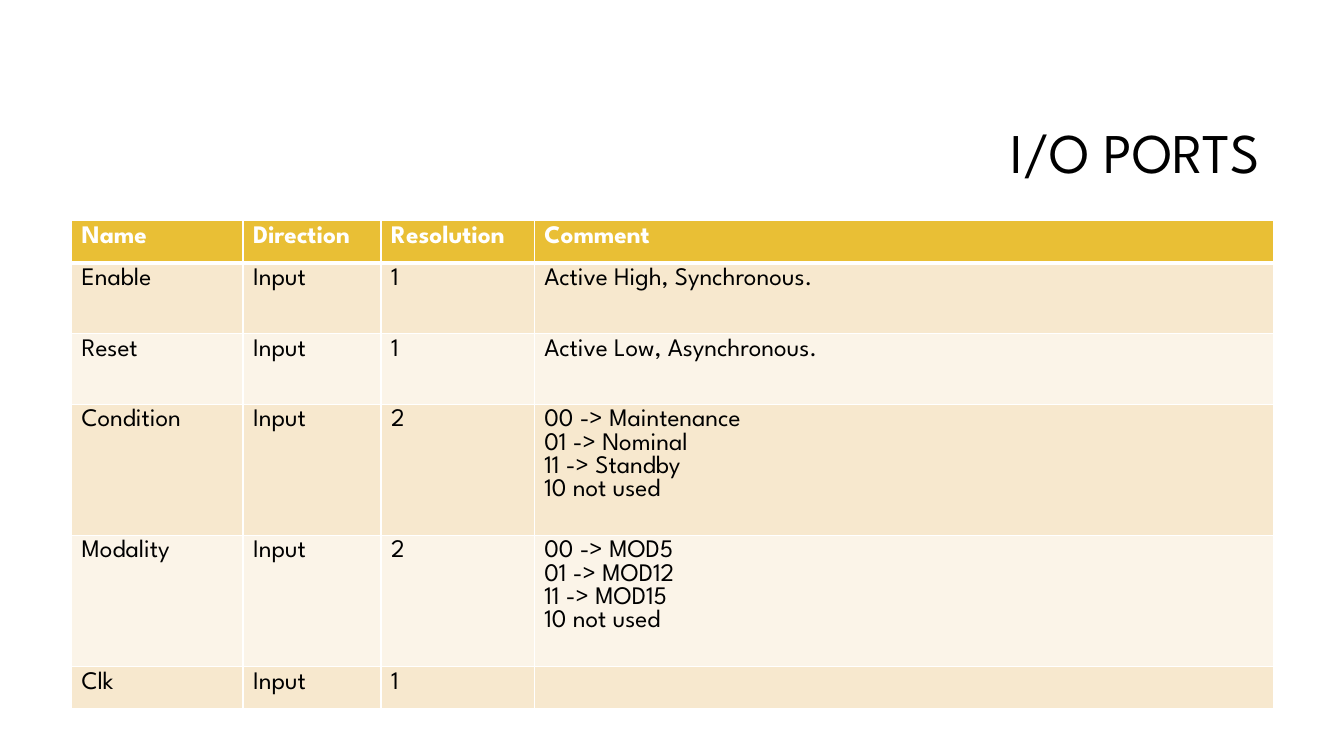
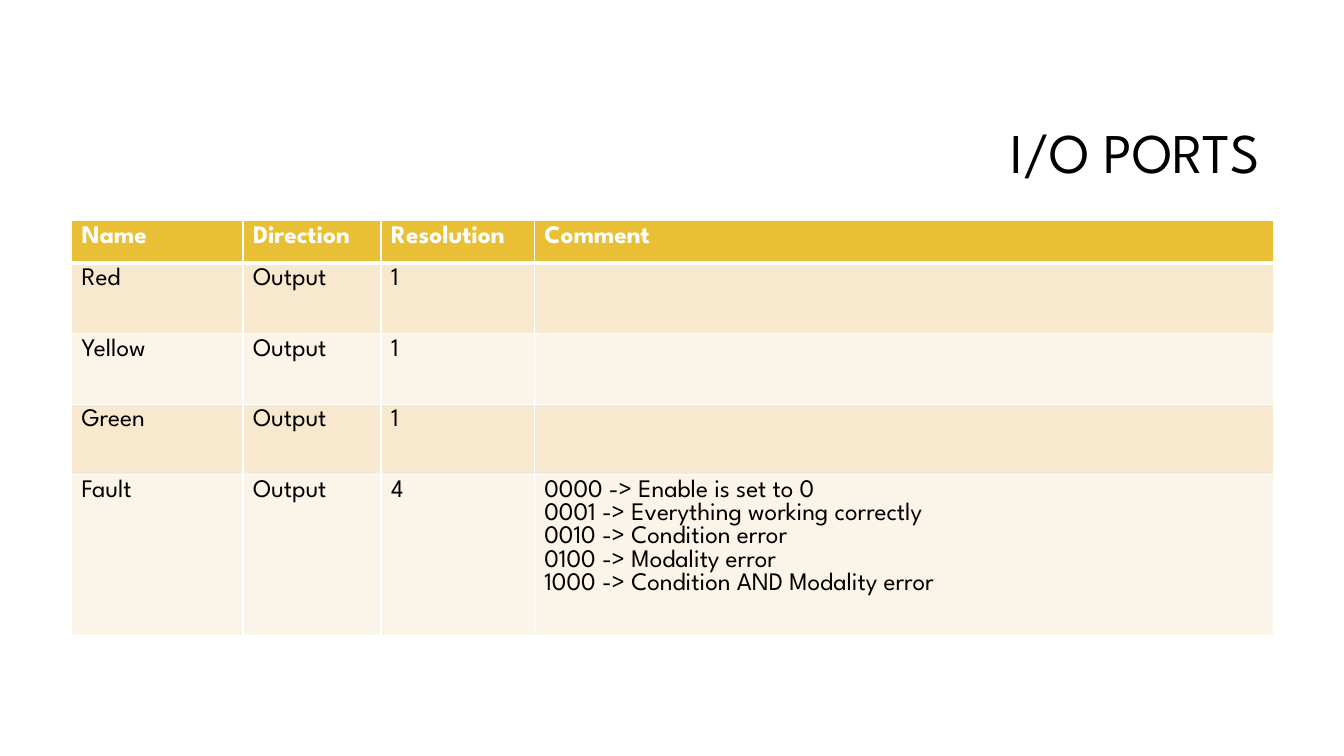
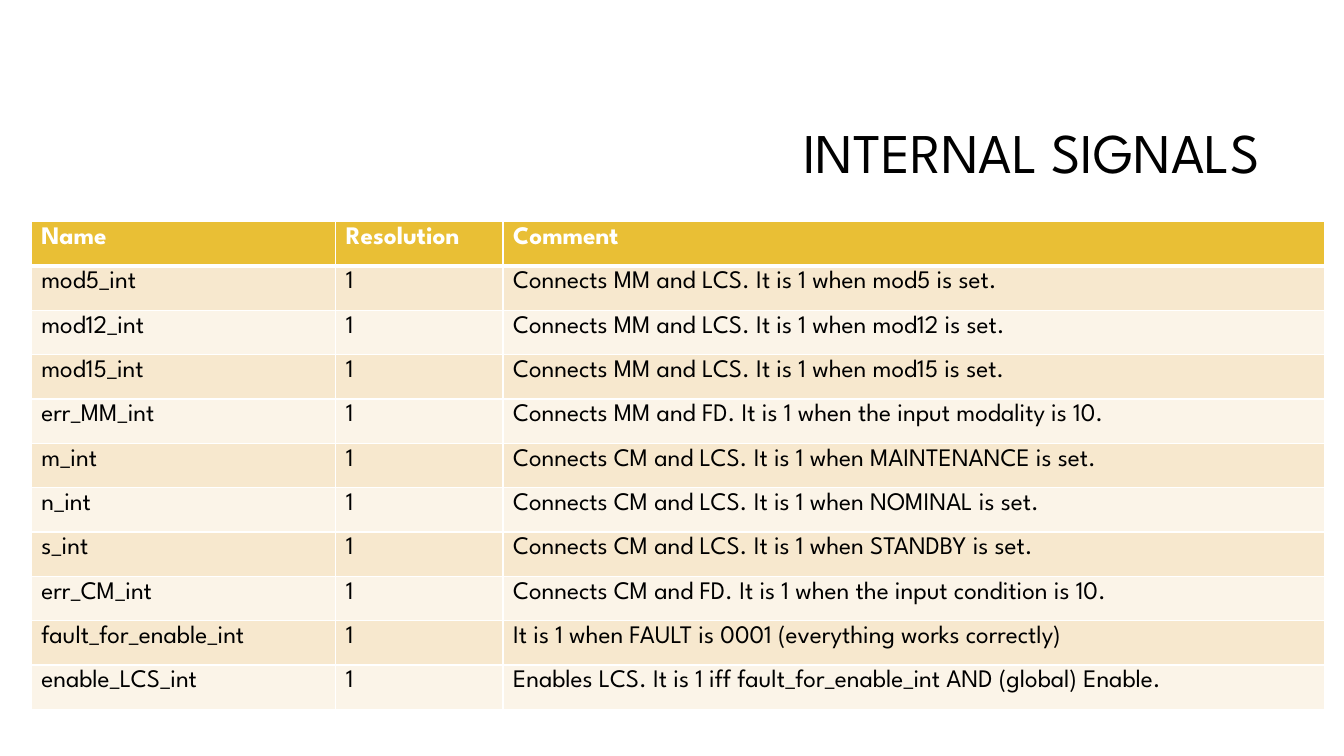
"""Build three slides that list the ports and internal signals of a controller."""
from lxml.etree import SubElement
from pptx import Presentation
from pptx.dml.color import RGBColor
from pptx.enum.text import MSO_ANCHOR, PP_ALIGN
from pptx.oxml.ns import qn
from pptx.util import Inches, Pt

THEME = {
    "font": "League Spartan",
    "title_size": 40,
    "table_size": 18,
    "text": "000000",
    "header_text": "FFFFFF",
    "header_fill": "E9BF35",
    "band_fills": ("F7E8CE", "FBF4E8"),
    "border": "FFFFFF",
    "border_width": 1,
    "header_border_width": 3,
}
SLIDE_SIZE = (13.33, 7.5)
TITLE_BOX = (3.17, 0.84, 9.42, 1.41)

SHORT, MEDIUM, TALL, SIGNAL = 0.42, 0.7, 1.29, 0.44
PORT_GRID = {
    "origin": (0.71, 2.19),
    "columns": (1.7, 1.37, 1.52, 7.33),
    "header": ("Name", "Direction", "Resolution", "Comment"),
}
SIGNAL_GRID = {
    "origin": (0.31, 2.2),
    "columns": (3.02, 1.66, 8.15),
    "header": ("Name", "Resolution", "Comment"),
}

SLIDES = [
    {
        "title": "I/O PORTS",
        "grid": PORT_GRID,
        "heights": (SHORT, MEDIUM, MEDIUM, TALL, TALL, SHORT),
        "rows": [
            ("Enable", "Input", "1", "Active High, Synchronous."),
            ("Reset", "Input", "1", "Active Low, Asynchronous."),
            ("Condition", "Input", "2",
             "00 -> Maintenance\n01 -> Nominal\n11 -> Standby\n10 not used"),
            ("Modality", "Input", "2",
             "00 -> MOD5\n01 -> MOD12\n11 -> MOD15\n10 not used"),
            ("Clk", "Input", "1", ""),
        ],
    },
    {
        "title": "I/O PORTS",
        "grid": PORT_GRID,
        "heights": (SHORT, MEDIUM, MEDIUM, MEDIUM, TALL),
        "rows": [
            ("Red", "Output", "1", ""),
            ("Yellow", "Output", "1", ""),
            ("Green", "Output", "1", ""),
            ("Fault", "Output", "4",
             "0000 -> Enable is set to 0\n"
             "0001 -> Everything working correctly\n"
             "0010 -> Condition error\n"
             "0100 -> Modality error\n"
             "1000 -> Condition AND Modality error"),
        ],
    },
    {
        "title": "INTERNAL SIGNALS",
        "grid": SIGNAL_GRID,
        "heights": (SIGNAL,) * 11,
        "rows": [
            ("mod5_int", "1", "Connects MM and LCS. It is 1 when mod5 is set."),
            ("mod12_int", "1", "Connects MM and LCS. It is 1 when mod12 is set."),
            ("mod15_int", "1", "Connects MM and LCS. It is 1 when mod15 is set."),
            ("err_MM_int", "1",
             "Connects MM and FD. It is 1 when the input modality is 10."),
            ("m_int", "1", "Connects CM and LCS. It is 1 when MAINTENANCE is set."),
            ("n_int", "1", "Connects CM and LCS. It is 1 when NOMINAL is set."),
            ("s_int", "1", "Connects CM and LCS. It is 1 when STANDBY is set."),
            ("err_CM_int", "1",
             "Connects CM and FD. It is 1 when the input condition is 10."),
            ("fault_for_enable_int", "1",
             "It is 1 when FAULT is 0001 (everything works correctly)"),
            ("enable_LCS_int", "1",
             "Enables LCS. It is 1 iff fault_for_enable_int AND (global) Enable."),
        ],
    },
]


def apply(target, values):
    for name, value in values.items():
        setattr(target, name, value)


def write(text_frame, text, size, color, bold=False):
    text_frame.text = text
    for paragraph in text_frame.paragraphs:
        for run in paragraph.runs:
            apply(run.font, {"name": THEME["font"], "size": Pt(size), "bold": bold})
            run.font.color.rgb = RGBColor.from_string(color)


def add_title(slide, text):
    text_frame = slide.shapes.add_textbox(*map(Inches, TITLE_BOX)).text_frame
    apply(text_frame, {"word_wrap": True, "vertical_anchor": MSO_ANCHOR.MIDDLE})
    write(text_frame, text, THEME["title_size"], THEME["text"])
    apply(text_frame.paragraphs[0], {"alignment": PP_ALIGN.RIGHT, "line_spacing": 0.9})


def add_borders(cell, row_index):
    thin, thick = THEME["border_width"], THEME["header_border_width"]
    widths = {
        "a:lnL": thin,
        "a:lnR": thin,
        "a:lnT": thick if row_index == 1 else thin,
        "a:lnB": thick if row_index == 0 else thin,
    }
    properties = cell._tc.get_or_add_tcPr()
    for tag, width in widths.items():
        line = SubElement(properties, qn(tag), w=str(Pt(width)))
        fill = SubElement(line, qn("a:solidFill"))
        SubElement(fill, qn("a:srgbClr"), val=THEME["border"])


def format_cell(cell, text, row_index):
    is_header = row_index == 0
    bands = THEME["band_fills"]
    color = THEME["header_fill"] if is_header else bands[(row_index - 1) % len(bands)]
    add_borders(cell, row_index)
    cell.fill.solid()
    cell.fill.fore_color.rgb = RGBColor.from_string(color)
    text_color = THEME["header_text" if is_header else "text"]
    write(cell.text_frame, text, THEME["table_size"], text_color, is_header)


def add_grid(slide, grid, heights, rows):
    columns = grid["columns"]
    bounds = (*grid["origin"], sum(columns), sum(heights))
    table = slide.shapes.add_table(
        len(heights), len(columns), *map(Inches, bounds)
    ).table
    for column, width in zip(table.columns, columns):
        column.width = Inches(width)
    for row, height in zip(table.rows, heights):
        row.height = Inches(height)
    for row_index, texts in enumerate([grid["header"], *rows]):
        for column_index, text in enumerate(texts):
            format_cell(table.cell(row_index, column_index), text, row_index)


def main():
    presentation = Presentation()
    width, height = map(Inches, SLIDE_SIZE)
    apply(presentation, {"slide_width": width, "slide_height": height})
    for content in SLIDES:
        slide = presentation.slides.add_slide(presentation.slide_layouts[6])
        add_title(slide, content["title"])
        add_grid(slide, content["grid"], content["heights"], content["rows"])
    presentation.save("out.pptx")


if __name__ == "__main__":
    main()
